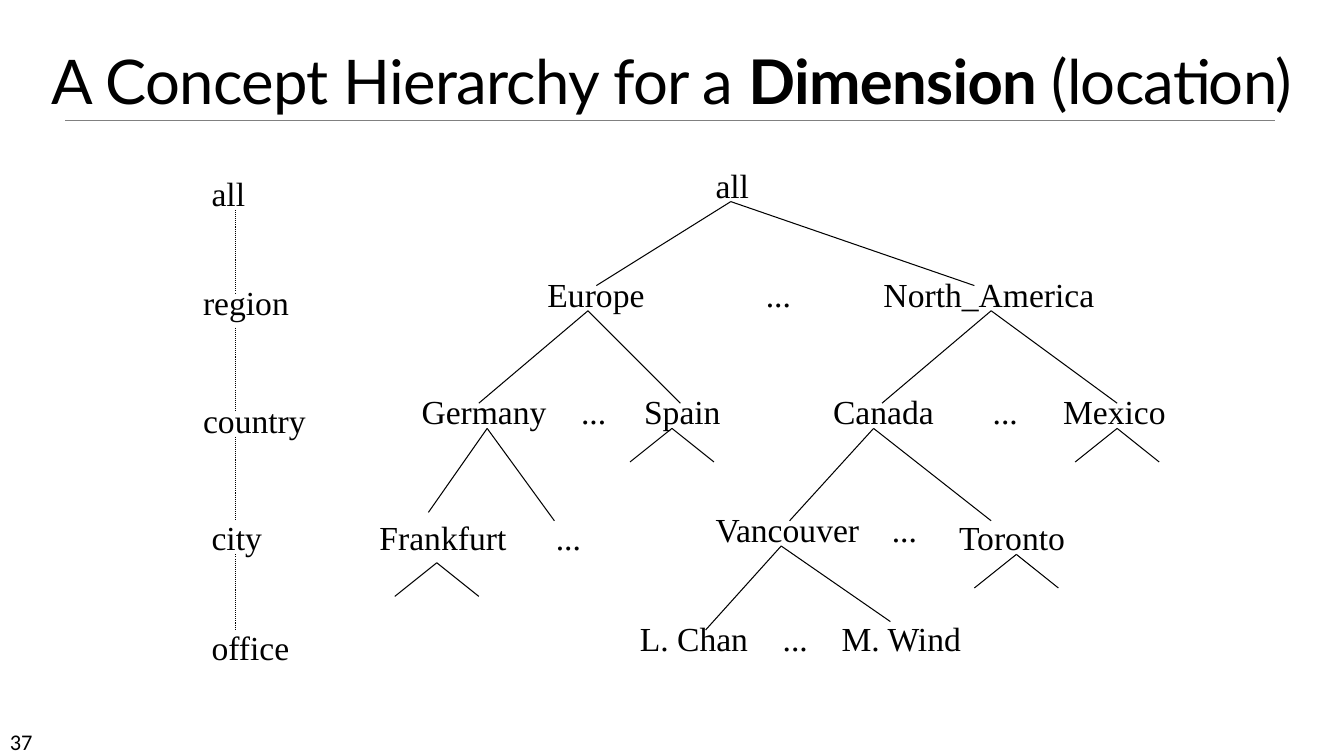
"""Build a slide with the concept hierarchy of a location dimension."""
from typing import Any, NamedTuple

from pptx import Presentation
from pptx.dml.color import RGBColor as RGB
from pptx.enum.dml import MSO_LINE as Dash
from pptx.enum.shapes import MSO_CONNECTOR as Conn
from pptx.enum.text import MSO_ANCHOR as Anchor, MSO_AUTO_SIZE as Fit, PP_ALIGN as Align
from pptx.oxml.ns import qn
from pptx.slide import Slide
from pptx.util import Pt
from lxml.etree import SubElement as Sub

PX = 9525
BLACK = RGB(0, 0, 0)
GRAY = RGB(0x80, 0x80, 0x80)
SERIF = {"name": "Times New Roman", "size": Pt(24)}
SMALL = {"name": "Calibri", "size": Pt(16)}
HEAD = {"name": "Lato", "size": Pt(44)}


class Label(NamedTuple):
    text: str
    left: int
    top: int
    width: int


class Point(NamedTuple):
    x: int
    y: int


class Fork(NamedTuple):
    top: Point
    left: Point
    right: Point


LABELS = [
    Label("all", 192, 160, 51),
    Label("region", 184, 264, 101),
    Label("country", 184, 376, 117),
    Label("city", 192, 488, 67),
    Label("office", 192, 592, 94),
    Label("all", 672, 152, 51),
    Label("Europe", 512, 256, 114),
    Label("...", 720, 256, 43),
    Label("North_America", 832, 256, 220),
    Label("Germany", 392, 368, 138),
    Label("...", 544, 368, 43),
    Label("Spain", 604, 368, 92),
    Label("Canada", 784, 368, 115),
    Label("...", 936, 368, 43),
    Label("Mexico", 1003, 368, 117),
    Label("Frankfurt", 352, 488, 140),
    Label("...", 520, 488, 43),
    Label("Vancouver", 672, 480, 159),
    Label("...", 840, 480, 43),
    Label("Toronto", 904, 488, 122),
    Label("L. Chan", 600, 584, 122),
    Label("...", 736, 584, 43),
    Label("M. Wind", 792, 584, 134),
]
FORKS = [
    Fork(Point(696, 192), Point(568, 272), Point(928, 272)),
    Fork(Point(560, 296), Point(456, 384), Point(648, 384)),
    Fork(Point(944, 296), Point(840, 384), Point(1064, 384)),
    Fork(Point(464, 408), Point(408, 488), Point(528, 496)),
    Fork(Point(832, 408), Point(752, 496), Point(944, 496)),
    Fork(Point(744, 520), Point(672, 600), Point(848, 592)),
]
STUBS = [Point(640, 408), Point(1064, 408), Point(416, 536), Point(968, 528)]
STEPS = [(200, 280), (312, 392), (416, 496), (528, 600)]
STEM = 224


def style(font: Any, form: dict[str, Any]) -> None:
    """Apply format values and black to a font."""
    for key, value in form.items():
        setattr(font, key, value)
    font.color.rgb = BLACK


def write(slide: Slide, label: Label, form: dict[str, Any], high: int, wrap: bool) -> None:
    """Add one label as a text box."""
    box = slide.shapes.add_textbox(*(n * PX for n in (label.left, label.top, label.width, high)))
    frame = box.text_frame
    frame.word_wrap = wrap
    frame.auto_size = Fit.NONE if wrap else Fit.SHAPE_TO_FIT_TEXT
    run = frame.paragraphs[0].add_run()
    run.text = label.text
    style(run.font, form)


def link(slide: Slide, start: Point, end: Point, color: RGB = BLACK,
         width: float = 0.75, dash: Dash | None = None) -> None:
    """Draw a straight line between two points."""
    ends = (n * PX for n in (*start, *end))
    line = slide.shapes.add_connector(Conn.STRAIGHT, *ends)
    line.line.color.rgb = color
    line.line.width = Pt(width)
    if dash:
        line.line.dash_style = dash
    Sub(line._element.spPr, qn("a:effectLst"))


def entitle(slide: Slide) -> None:
    """Place and format the title."""
    title = slide.shapes.title
    place = {"left": 0, "top": -8, "width": 1280, "height": 124}
    for key, value in place.items():
        setattr(title, key, value * PX)
    frame = title.text_frame
    frame.word_wrap = True
    frame.auto_size = Fit.NONE
    frame.vertical_anchor = Anchor.BOTTOM
    para = frame.paragraphs[0]
    para.alignment = Align.CENTER
    para.line_spacing = 0.85
    for text, bold in (("A Concept Hierarchy for a ", False), ("Dimension ", True),
                       ("(location)", False)):
        run = para.add_run()
        run.text = text
        style(run.font, HEAD | {"bold": bold})
        run._r.get_or_add_rPr().set("spc", "-50")


def main() -> None:
    """Build and save the deck."""
    deck = Presentation()
    deck.slide_width, deck.slide_height = 1280 * PX, 720 * PX
    slide = deck.slides.add_slide(deck.slide_layouts[5])
    entitle(slide)
    link(slide, Point(62, 115), Point(1214, 115), GRAY, 0.5)
    write(slide, Label("37", 0, 689, 112), SMALL, 29, True)
    for label in LABELS:
        write(slide, label, SERIF, 48, False)
    stubs = [Fork(p, Point(p.x - 40, p.y + 32), Point(p.x + 40, p.y + 32)) for p in STUBS]
    for fork in FORKS + stubs:
        link(slide, fork.top, fork.left)
        link(slide, fork.top, fork.right)
    for top, base in STEPS:
        link(slide, Point(STEM, top), Point(STEM, base), dash=Dash.ROUND_DOT)
    deck.save("out.pptx")


if __name__ == "__main__":
    main()
